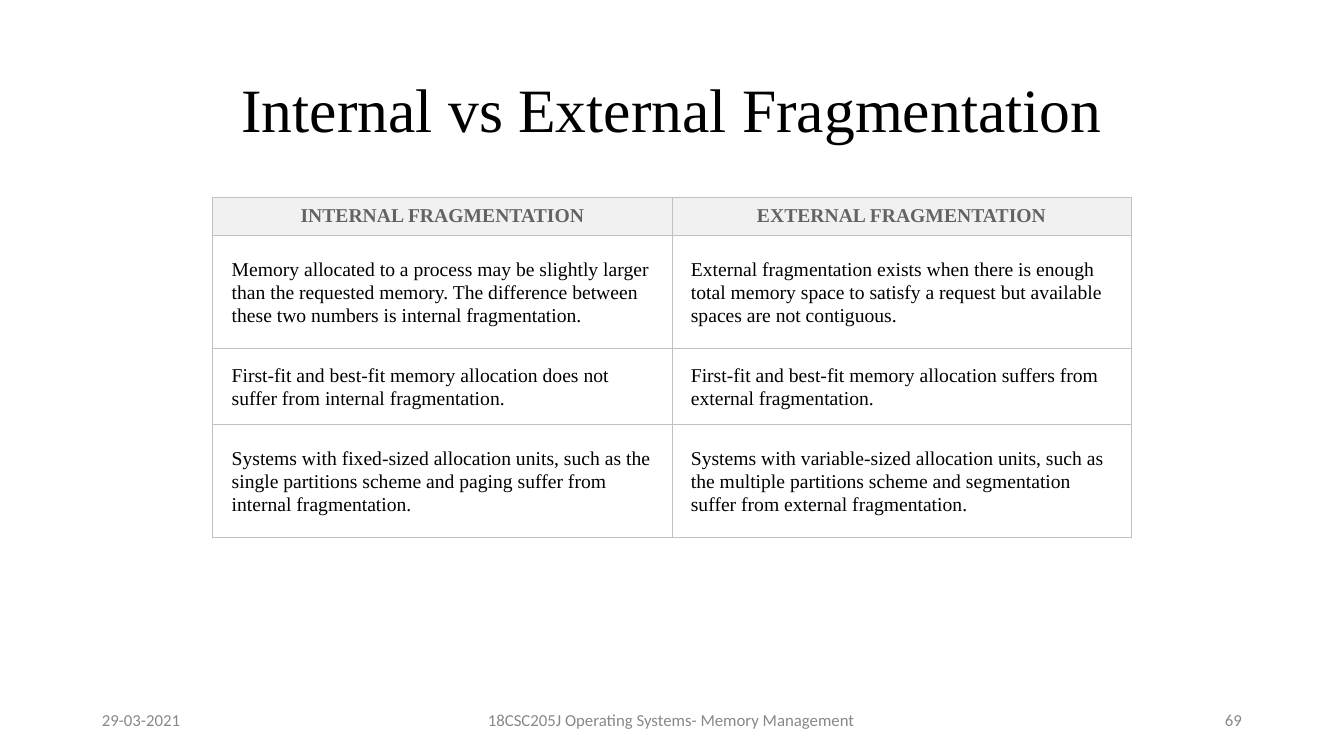
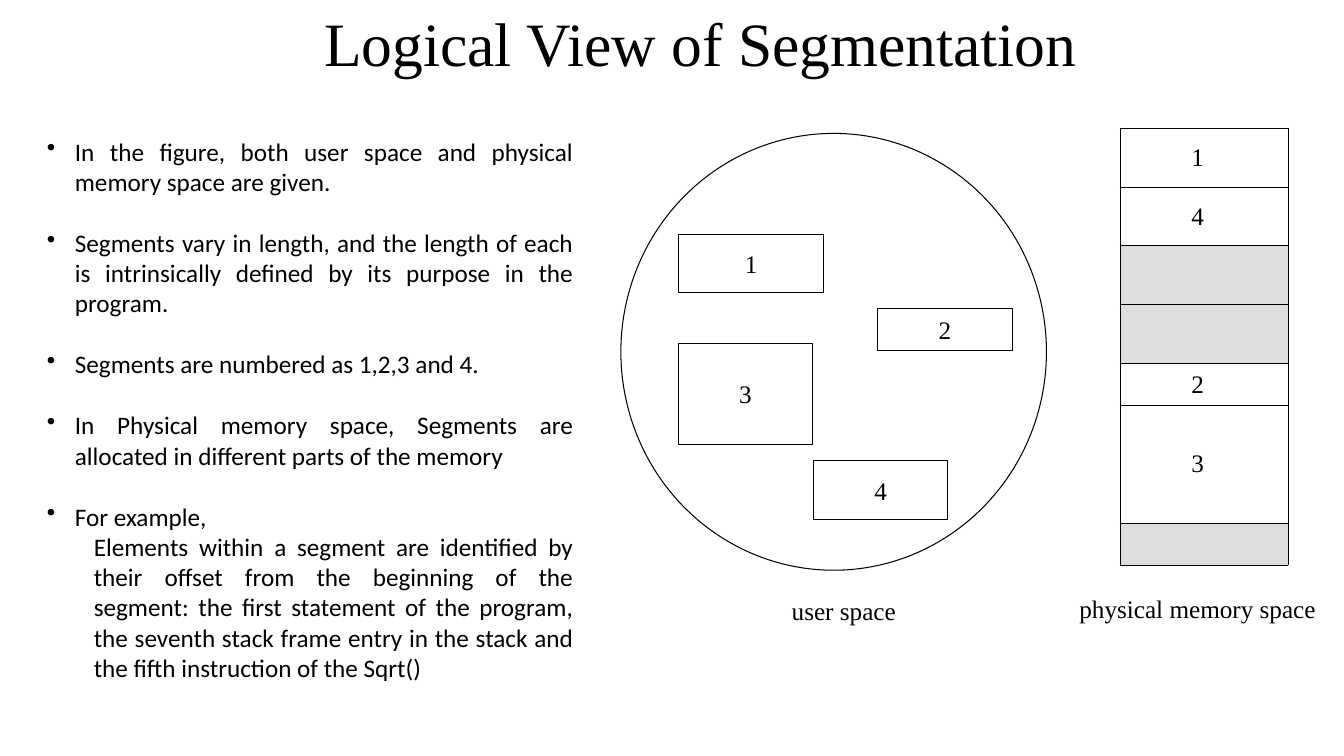
from lxml import etree
from pptx import Presentation
from pptx.dml.color import RGBColor
from pptx.enum import shapes, text
from pptx.oxml import ns
from pptx.util import Pt

SERIF, SANS = "Times New Roman", "Calibri"
BLACK, FOOTER_GRAY = "000000", "888888"
HEADER_TEXT, HEADER_FILL = "636363", "F1F1F1"
TABLE_LINE, FREE_MEMORY = "C1C1C1", "DDDDDD"
LEFT, CENTER = text.PP_ALIGN.LEFT, text.PP_ALIGN.CENTER
MIDDLE = text.MSO_ANCHOR.MIDDLE


def write(frame, words, size, font=SERIF, color=BLACK, align=LEFT, bold=False):
    """Fill a text frame without insets; each item of words.split("\\n") is a line."""
    frame.word_wrap = True
    frame.margin_left = frame.margin_top = frame.margin_right = frame.margin_bottom = 0
    para = frame.paragraphs[0]
    para.text = words.replace("\n", "\v")
    para.alignment = align
    para.font.name, para.font.size, para.font.bold = font, Pt(size), bold
    para.font.color.rgb = RGBColor.from_string(color)
    return para


def style_cell(cell, line, fill=None):
    """Give a cell its four borders, its fill and middle anchoring."""
    properties = cell._tc.get_or_add_tcPr()
    for side in ("lnL", "lnR", "lnT", "lnB"):
        border = etree.SubElement(properties, ns.qn(f"a:{side}"), w=str(Pt(0.75)))
        solid = etree.SubElement(border, ns.qn("a:solidFill"))
        etree.SubElement(solid, ns.qn("a:srgbClr"), val=line)
    if fill:
        cell.fill.solid()
        cell.fill.fore_color.rgb = RGBColor.from_string(fill)
    else:
        cell.fill.background()
    cell.vertical_anchor = MIDDLE
    cell.margin_left = cell.margin_right = cell.margin_top = cell.margin_bottom = 0


deck = Presentation()
deck.slide_width, deck.slide_height = Pt(960), Pt(540)

# Titles shared by both slides
pages = []
for title, left, top in [
    ("Internal vs External Fragmentation", 172.5, 51),
    ("Logical View of Segmentation", 231.5, 3.5),
]:
    page = deck.slides.add_slide(deck.slide_layouts[6])
    box = page.shapes.add_textbox(Pt(left), Pt(top), Pt(640), Pt(55))
    write(box.text_frame, title, 44)
    pages.append(page)
comparison, segmentation = pages

# Internal vs external fragmentation
for words, left, width in [
    ("29-03-2021", 72.7, 70),
    ("18CSC205J Operating Systems- Memory Management", 348.5, 280),
    ("69", 875, 30),
]:
    box = comparison.shapes.add_textbox(Pt(left), Pt(509), Pt(width), Pt(14))
    para = write(box.text_frame, words, 12, SANS, FOOTER_GRAY)
    para.line_spacing = Pt(12.4)

ROWS = [
    (27, "INTERNAL FRAGMENTATION", "EXTERNAL FRAGMENTATION"),
    (81,
     "Memory allocated to a process may be slightly larger\n"
     "than the requested memory. The difference between\n"
     "these two numbers is internal fragmentation.",
     "External fragmentation exists when there is enough\n"
     "total memory space to satisfy a request but available\n"
     "spaces are not contiguous."),
    (54,
     "First-fit and best-fit memory allocation does not\n"
     "suffer from internal fragmentation.",
     "First-fit and best-fit memory allocation suffers from\n"
     "external fragmentation."),
    (81,
     "Systems with fixed-sized allocation units, such as the\n"
     "single partitions scheme and paging suffer from\n"
     "internal fragmentation.",
     "Systems with variable-sized allocation units, such as\n"
     "the multiple partitions scheme and segmentation\n"
     "suffer from external fragmentation."),
]
table = comparison.shapes.add_table(
    len(ROWS), 2, Pt(152), Pt(141), Pt(656), Pt(243)).table
table.first_row = table.horz_banding = False
for row, (height, *entries) in enumerate(ROWS):
    table.rows[row].height = Pt(height)
    for column, words in enumerate(entries):
        cell = table.cell(row, column)
        if row == 0:
            write(cell.text_frame, words, 14, color=HEADER_TEXT, align=CENTER, bold=True)
            style_cell(cell, TABLE_LINE, HEADER_FILL)
        else:
            write(cell.text_frame, words, 14).line_spacing = Pt(16.5)
            style_cell(cell, TABLE_LINE)
            cell.margin_left = Pt(13.5)

# Logical view of segmentation: explanation
POINTS = [
    "In the figure, both user space and physical memory space are given.",
    "Segments vary in length, and the length of each is intrinsically defined "
    "by its purpose in the program.",
    "Segments are numbered as 1,2,3 and 4.",
    "In Physical memory space, Segments are allocated in different parts of the memory",
    "For example,",
]
EXAMPLE = (
    "Elements within a segment are identified by their offset from the beginning "
    "of the segment: the first statement of the program, the seventh stack frame "
    "entry in the stack and the fifth instruction of the Sqrt()")
box = segmentation.shapes.add_textbox(Pt(32.5), Pt(97), Pt(377), Pt(392))
frame = box.text_frame
frame.word_wrap = True
frame.margin_left = frame.margin_top = frame.margin_right = frame.margin_bottom = 0
for index, words in enumerate(POINTS + [EXAMPLE]):
    para = frame.paragraphs[0] if index == 0 else frame.add_paragraph()
    para.text = words
    para.alignment = text.PP_ALIGN.JUSTIFY
    para.line_spacing = Pt(21.6)
    properties = para._p.get_or_add_pPr()
    if words == EXAMPLE:
        properties.set("marL", str(Pt(34.5)))
    else:
        properties.set("marL", str(Pt(21)))
        properties.set("indent", str(Pt(-20)))
        etree.SubElement(properties, ns.qn("a:buChar"), char="•")
        if index:
            para.space_before = Pt(22)
    para.font.name, para.font.size = SANS, Pt(18)
    para.font.color.rgb = RGBColor.from_string(BLACK)

# User space: a circle holding the numbered segments
RECTANGLE, OVAL = shapes.MSO_SHAPE.RECTANGLE, shapes.MSO_SHAPE.OVAL
for kind, label, left, top, width, height in [
    (OVAL, "", 443.5, 95.3, 304, 312),
    (RECTANGLE, "1", 484.5, 167.3, 104, 41.5),
    (RECTANGLE, "3", 484.5, 245.3, 96, 72),
    (RECTANGLE, "2", 627, 220.3, 96, 30),
    (RECTANGLE, "4", 581, 329.3, 96, 41.5),
]:
    shape = segmentation.shapes.add_shape(
        kind, Pt(left), Pt(top), Pt(width), Pt(height))
    shape.shadow.inherit = False
    shape.fill.background()
    shape.line.color.rgb = RGBColor.from_string(BLACK)
    shape.line.width = Pt(0.75)
    if label:
        write(shape.text_frame, label, 18, align=CENTER)
        shape.text_frame.vertical_anchor = MIDDLE

# Physical memory: rows without a label are free
MEMORY = [("1", 42), ("4", 42), ("", 42), ("", 42), ("2", 30), ("3", 84), ("", 30)]
table = segmentation.shapes.add_table(
    len(MEMORY), 1, Pt(800), Pt(91.7), Pt(120), Pt(312)).table
table.first_row = table.horz_banding = False
for row, (label, height) in enumerate(MEMORY):
    table.rows[row].height = Pt(height)
    cell = table.cell(row, 0)
    write(cell.text_frame, label, 18)
    style_cell(cell, BLACK, None if label else FREE_MEMORY)
    cell.margin_left = Pt(51)

for caption, left, top, width in [
    ("user space", 565.5, 425, 90),
    ("physical memory space", 771, 423.5, 180),
]:
    box = segmentation.shapes.add_textbox(Pt(left), Pt(top), Pt(width), Pt(23))
    write(box.text_frame, caption, 18)

deck.save("out.pptx")
